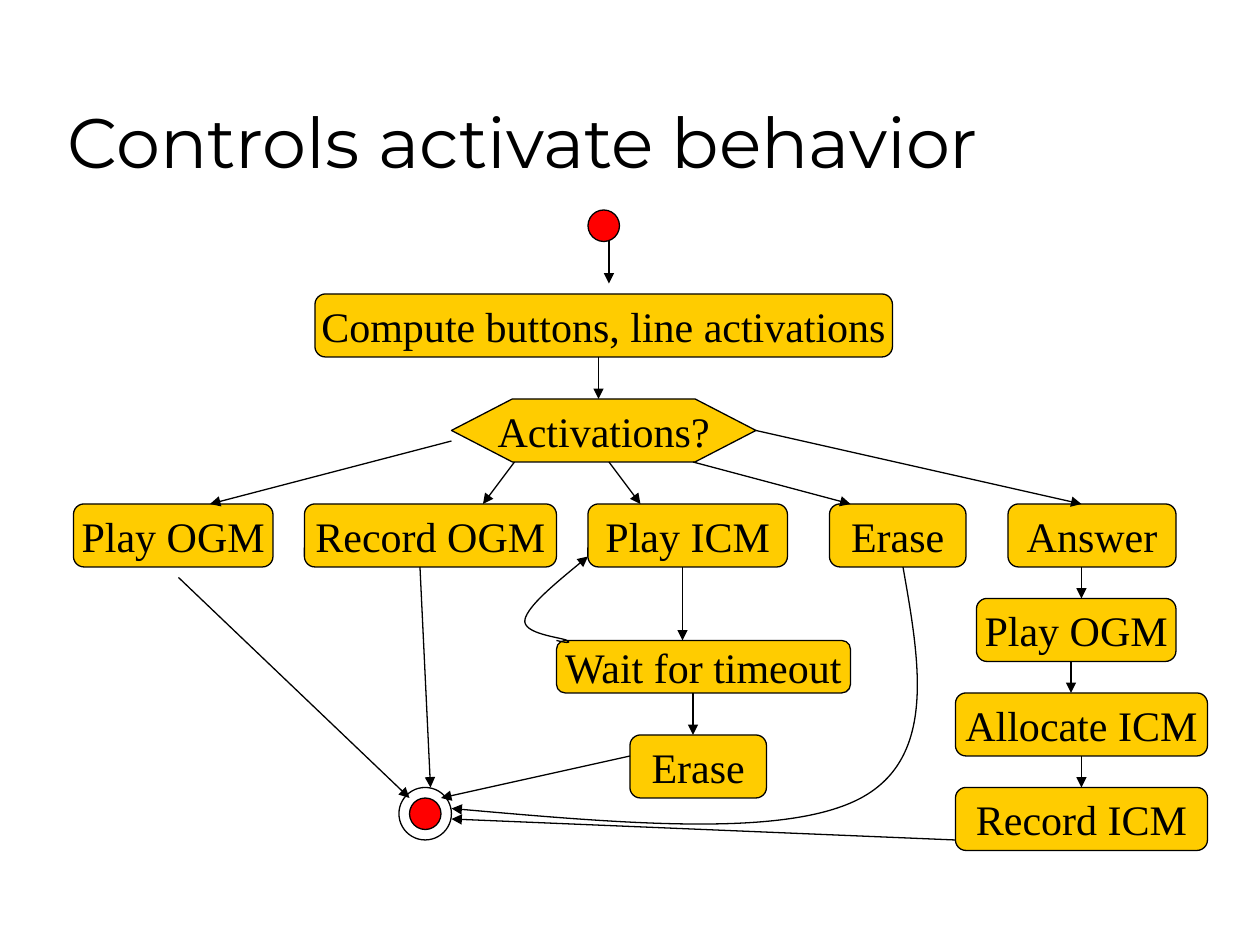
from lxml import etree
from pptx import Presentation
from pptx import util as u
from pptx.dml.color import RGBColor
from pptx.enum import shapes, text
from pptx.oxml.ns import qn

# Content: all places are in twelfths of an inch (left, top, width, height)
UNIT = 76200
BLACK, YELLOW, RED = "000000", "FFCC00", "FF0000"
TITLE = "Controls activate behavior"
ROUND = shapes.MSO_SHAPE.ROUNDED_RECTANGLE
DECISION = shapes.MSO_SHAPE.FLOWCHART_PREPARATION
TALL, BRANCH_TOP = 6, 48

branches = [("Play OGM", 7, 19), ("Record OGM", 29, 24), ("Play ICM", 56, 19),
            ("Erase", 79, 13), ("Answer", 96, 16)]
answer_steps = [("Play OGM", 93, 19), ("Allocate ICM", 91, 24), ("Record ICM", 91, 24)]

steps = [
    ("Compute buttons, line activations", ROUND, (30, 28, 55, TALL)),
    ("Activations?", DECISION, (43, 38, 29, TALL)),
    *[(name, ROUND, (left, BRANCH_TOP, width, TALL)) for name, left, width in branches],
    ("Wait for timeout", ROUND, (53, 61, 28, 5)),
    ("Erase", ROUND, (60, 70, 13, TALL)),
    *[(name, ROUND, (left, BRANCH_TOP + 9 * row, width, TALL))
      for row, (name, left, width) in enumerate(answer_steps, 1)],
]
# Start dot, end dot and the ring around the end dot
circles = [((56, 20, 3, 3), RED), ((39, 76, 3, 3), RED), ((38, 75, 5, 5), None)]

arrows = [
    # Entry
    (58, 23, 58, 27), (57, 34, 57, 38),
    # Decision to its branches
    (43, 42, 20, 48), (49, 44, 46, 48), (58, 44, 61, 48), (66, 44, 81, 48), (72, 41, 103, 48),
    # Timeout column
    (65, 54, 65, 61), (66, 66, 66, 70),
    # Into the end
    (60, 72, 42, 76), (40, 54, 41, 75), (17, 55, 39, 76), (91, 80, 43, 78),
    # Answer column
    (103, 54, 103, 57), (102, 63, 102, 66), (103, 72, 103, 75),
]
# Bezier points: a start, then two controls and an end for each segment
curves = [
    [(53, 61), (53.8, 61.2), (54.5, 61.3), (54, 61), (53.5, 60.7), (49.7, 60.4), (50, 59),
     (50.3, 57.7), (53.2, 55.3), (56, 53)],
    [(86, 54), (87.6, 63.1), (89.2, 72.1), (82, 76), (74.9, 79.8), (58.9, 78.4), (43, 77)],
]


def color(value):
    return RGBColor.from_string(value)


def emu(values):
    return [round(value * UNIT) for value in values]


def apply(target, values):
    for name, value in values.items():
        setattr(target, name, value)


def outline(shape):
    shape.line.color.rgb = color(BLACK)
    shape.line.width = u.Pt(0.75)


def write(frame, words, size, font, align, anchor, wrap):
    apply(frame, {"text": words, "word_wrap": wrap, "vertical_anchor": anchor,
                  "auto_size": text.MSO_AUTO_SIZE.NONE})
    para = frame.paragraphs[0]
    para.alignment = align
    apply(para.font, {"size": u.Pt(size), "name": font})
    para.font.color.rgb = color(BLACK)


def add_node(page, kind, place, fill):
    node = page.shapes.add_shape(kind, *emu(place))
    node.shadow.inherit = False
    if fill:
        node.fill.solid()
        node.fill.fore_color.rgb = color(fill)
    else:
        node.fill.background()
    outline(node)
    return node


def add_arrowhead(shape):
    line = shape.element.spPr.find(qn("a:ln"))
    etree.SubElement(line, qn("a:tailEnd"), type="triangle")


def add_arrow(page, ends):
    arrow = page.shapes.add_connector(shapes.MSO_CONNECTOR.STRAIGHT, *emu(ends))
    outline(arrow)
    add_arrowhead(arrow)
    etree.SubElement(arrow.element.spPr, qn("a:effectLst"))


def add_curve(page, points):
    start, *rest = [emu(point) for point in points]
    builder = page.shapes.build_freeform(*start)
    builder.add_line_segments(rest, close=False)
    curve = builder.convert_to_shape()
    curve.shadow.inherit = False
    curve.fill.background()
    outline(curve)
    add_arrowhead(curve)
    # Turn every three straight segments into one Bezier segment
    path = next(curve.element.iter(qn("a:path")))
    corners = path.findall(qn("a:lnTo"))
    for first in range(0, len(corners), 3):
        bezier = etree.SubElement(path, qn("a:cubicBezTo"))
        for corner in corners[first:first + 3]:
            bezier.append(corner[0])
            path.remove(corner)


def main():
    deck = Presentation()
    apply(deck, {"slide_width": u.Inches(10), "slide_height": u.Inches(7.5)})
    page = deck.slides.add_slide(deck.slide_layouts[5])

    # Title
    title = page.shapes.title
    apply(title, dict(zip(("left", "top", "width", "height"), emu((5.25, 3, 102, 15)))))
    write(title.text_frame, TITLE, 40, "Montserrat", text.PP_ALIGN.LEFT,
          text.MSO_ANCHOR.BOTTOM, True)

    # Steps and end points
    for words, kind, place in steps:
        node = add_node(page, kind, place, YELLOW)
        write(node.text_frame, words, 24, "Times New Roman", text.PP_ALIGN.CENTER,
              text.MSO_ANCHOR.MIDDLE, False)
    for place, fill in circles:
        add_node(page, shapes.MSO_SHAPE.OVAL, place, fill)

    # Flow
    for ends in arrows:
        add_arrow(page, ends)
    for points in curves:
        add_curve(page, points)

    deck.save("out.pptx")


if __name__ == "__main__":
    main()
